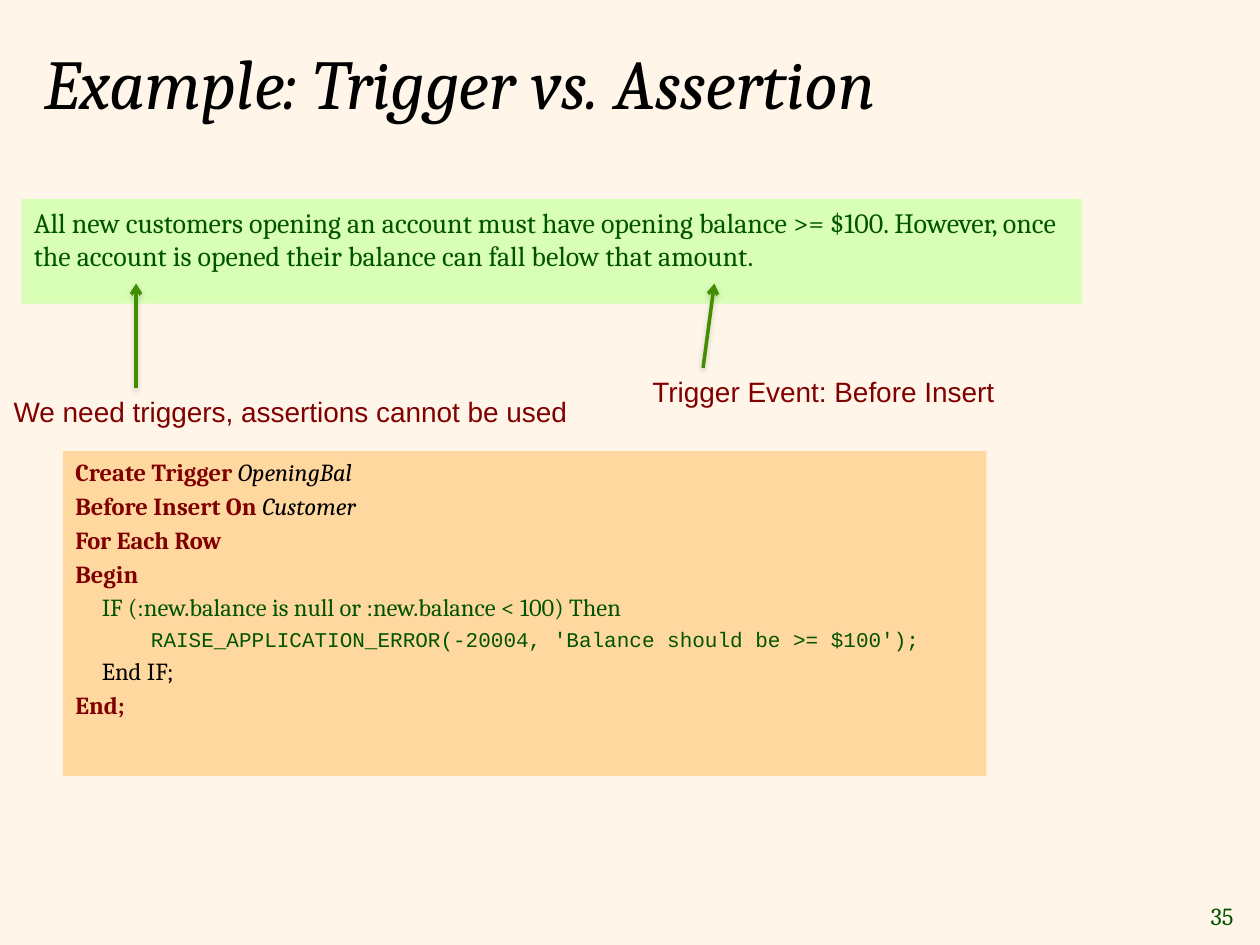
import pptx
import pptx.util
import pptx.dml.color
import pptx.enum.shapes
import pptx.enum.text
import pptx.oxml
import pptx.oxml.ns

Inches = pptx.util.Inches
Pt = pptx.util.Pt
Align = pptx.enum.text.PP_ALIGN
Anchor = pptx.enum.text.MSO_ANCHOR

COLORS = {
    "background": "FFF6E9",
    "rule": "D8FFB5",
    "code": "FFD8A0",
    "arrow": "438E00",
    "green": "005400",
    "maroon": "800000",
    "black": "000000",
}

ARROW_SHADOW = (
    '<a:effectLst %s><a:outerShdw blurRad="40000" dist="20000" dir="5400000" '
    'rotWithShape="0"><a:srgbClr val="808080"><a:alpha val="38000"/></a:srgbClr>'
    '</a:outerShdw></a:effectLst>' % pptx.oxml.ns.nsdecls("a")
)
ARROW_TAIL = '<a:tailEnd type="arrow" %s/>' % pptx.oxml.ns.nsdecls("a")


def color(name):
    return pptx.dml.color.RGBColor.from_string(COLORS[name])


def add_run(paragraph, text, size, tone, font="Cambria", bold=False, italic=False):
    run = paragraph.add_run()
    run.text = text
    run.font.size = Pt(size)
    run.font.name = font
    run.font.bold = bold
    run.font.italic = italic
    run.font.color.rgb = color(tone)


def add_title(slide, text):
    title = slide.shapes.title
    title.left, title.top = Inches(0.25), Inches(0.13)
    title.width, title.height = Inches(8.25), Inches(1.03)
    title.text_frame.vertical_anchor = Anchor.MIDDLE
    title.text_frame.word_wrap = True
    heading = title.text_frame.paragraphs[0]
    heading.alignment = Align.LEFT
    add_run(heading, text, 40, "black", italic=True)


def add_panel(slide, box, fill, lines):
    panel = slide.shapes.add_shape(
        pptx.enum.shapes.MSO_SHAPE.RECTANGLE, *map(Inches, box))
    panel.shadow.inherit = False
    panel.fill.solid()
    panel.fill.fore_color.rgb = color(fill)
    panel.line.fill.background()
    frame = panel.text_frame
    frame.word_wrap = True
    frame.vertical_anchor = Anchor.TOP
    for index, (indent, runs) in enumerate(lines):
        line = frame.add_paragraph() if index else frame.paragraphs[0]
        line.alignment = Align.LEFT
        line.space_before = Pt(2.5)
        if indent:
            properties = line._p.get_or_add_pPr()
            properties.set("marL", str(Inches(indent)))
            properties.set("indent", "0")
        for run in runs:
            add_run(line, **run)


def add_label(shapes, box, text, size, tone, font, align=Align.LEFT, anchor=Anchor.TOP):
    label = shapes.add_textbox(*map(Inches, box))
    frame = label.text_frame
    frame.word_wrap = False
    frame.vertical_anchor = anchor
    frame.paragraphs[0].alignment = align
    add_run(frame.paragraphs[0], text, size, tone, font)


def add_callout(slide, start, end, box, text):
    callout = slide.shapes.add_group_shape()
    arrow = callout.shapes.add_connector(
        pptx.enum.shapes.MSO_CONNECTOR.STRAIGHT, *map(Inches, start + end))
    arrow.line.color.rgb = color("arrow")
    arrow.line.width = Pt(2)
    arrow.line._get_or_add_ln().append(pptx.oxml.parse_xml(ARROW_TAIL))
    arrow._element.spPr.append(pptx.oxml.parse_xml(ARROW_SHADOW))
    add_label(callout.shapes, box, text, 16, "maroon", "Arial")


def keyword(text):
    return dict(text=text, size=14, tone="maroon", bold=True)


def identifier(text):
    return dict(text=text, size=14, tone="black", italic=True)


def statement(text, tone):
    return dict(text=text, size=14, tone=tone)


def main():
    deck = pptx.Presentation()
    deck.slide_width, deck.slide_height = Inches(10), Inches(7.5)
    slide = deck.slides.add_slide(deck.slide_layouts.get_by_name("Title Only"))
    slide.background.fill.solid()
    slide.background.fill.fore_color.rgb = color("background")

    add_title(slide, "Example: Trigger vs. Assertion")
    requirement = (
        "All new customers opening an account must have opening balance >= $100. "
        "However, once the account is opened their balance can fall below that amount."
    )
    add_panel(slide, (0.17, 1.58, 8.42, 0.83), "rule",
              [(0, [dict(text=requirement, size=16, tone="green")])])
    add_callout(slide, (1.08, 3.08), (1.08, 2.25), (0.01, 3.08, 4.65, 0.37),
                "We need triggers, assertions cannot be used")
    add_callout(slide, (5.58, 2.92), (5.67, 2.25), (5.08, 2.92, 2.95, 0.37),
                "Trigger Event: Before Insert")
    raise_error = dict(
        text="RAISE_APPLICATION_ERROR(-20004, 'Balance should be >= $100');",
        size=12, tone="green", font="Courier New")
    add_panel(slide, (0.5, 3.58, 7.33, 2.58), "code", [
        (0, [keyword("Create Trigger "), identifier("OpeningBal")]),
        (0, [keyword("Before Insert On "), identifier("Customer")]),
        (0, [keyword("For Each Row")]),
        (0, [keyword("Begin")]),
        (0.21, [statement("IF (:new.balance is null or :new.balance < 100) Then", "green")]),
        (0.6, [raise_error]),
        (0.21, [statement("End IF;", "black")]),
        (0, [keyword("End;")]),
    ])
    add_label(slide.shapes, (9.45, 7.1, 0.44, 0.33), "35", 14, "green", "Cambria",
              Align.RIGHT, Anchor.MIDDLE)
    deck.save("out.pptx")


main()
